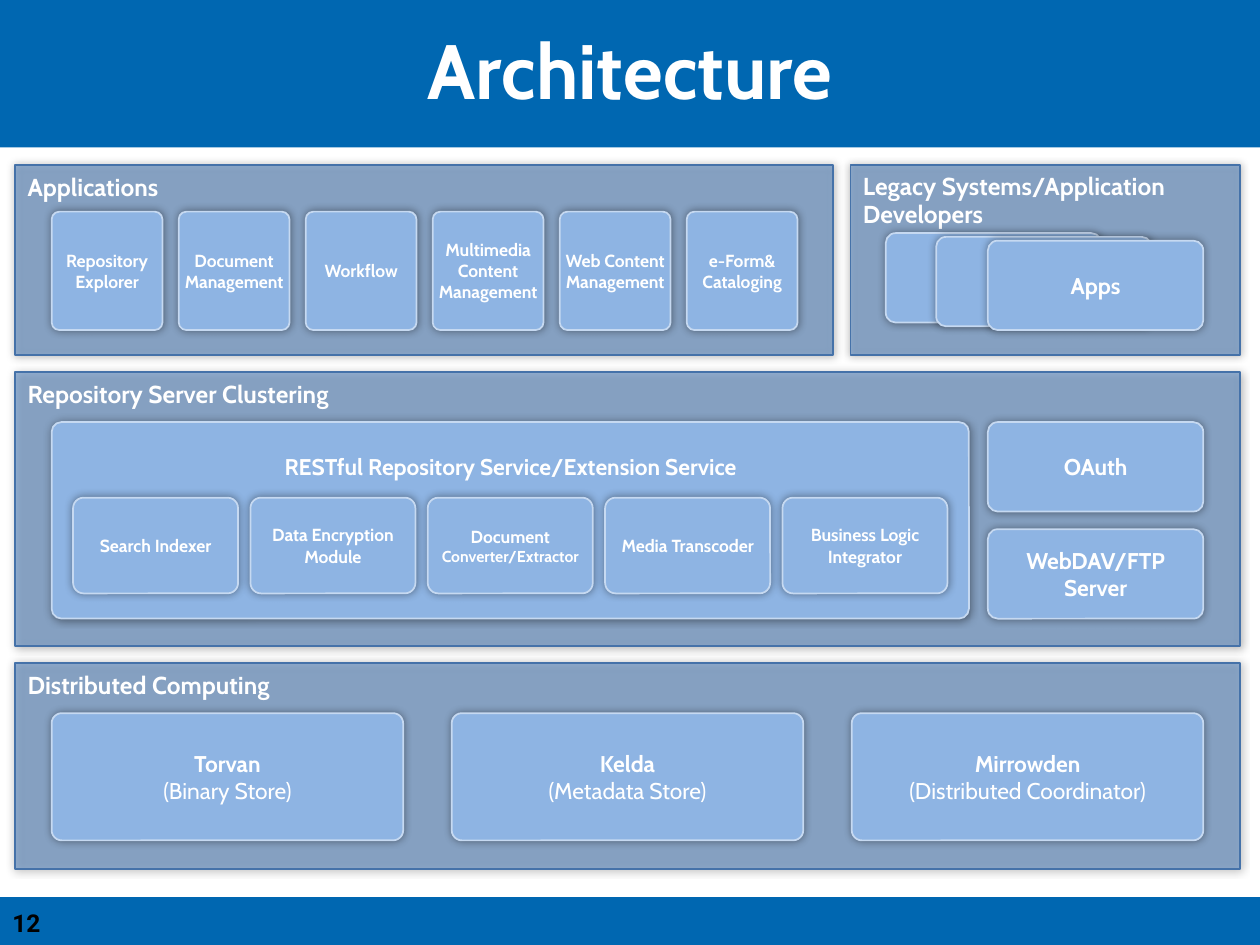
from dataclasses import dataclass

from lxml.etree import SubElement
from pptx import Presentation
from pptx.dml.color import RGBColor
from pptx.enum.shapes import MSO_SHAPE
from pptx.enum.text import MSO_ANCHOR, PP_ALIGN
from pptx.oxml.ns import qn
from pptx.util import Emu, Pt


@dataclass(frozen=True)
class Theme:
    """Colours, fonts and type sizes of the slide."""

    band: str = "0067B1"
    panel: str = "4F81BD"
    panel_line: str = "4572A9"
    card: str = "8EB4E3"
    card_line: str = "C6D9F1"
    light: str = "FFFFFF"
    dark: str = "000000"
    font: str = "Cabin"
    number_font: str = "Roboto"
    title: int = 44
    heading: int = 14
    body: int = 13
    small: int = 10
    tiny: int = 9


T = Theme()
PX = 9144


def px(n):
    """Turn px into EMU."""
    return Emu(round(n * PX))


def rgb(color):
    """Turn a hex string into a colour."""
    return RGBColor.from_string(color)


def write(sp, lines, size, color=T.light, font=T.font, align=PP_ALIGN.CENTER,
          anchor=MSO_ANCHOR.MIDDLE, inset=(0, 0)):
    """Write lines as paragraphs; a line is text or (text, size, bold)."""
    tf = sp.text_frame
    tf.word_wrap = True
    tf.vertical_anchor = anchor
    tf.margin_left = tf.margin_right = px(inset[0])
    tf.margin_top, tf.margin_bottom = px(inset[1]), 0
    for i, line in enumerate(lines):
        text, pt, bold = (line, size, True) if isinstance(line, str) else line
        p = tf.paragraphs[0] if i == 0 else tf.add_paragraph()
        p.text = text
        p.alignment = align
        p.font.name, p.font.size, p.font.bold = font, Pt(pt), bold
        p.font.color.rgb = rgb(color)
    return tf


def text_box(s, x, y, w, h, lines, size, **style):
    """Add a text box."""
    return write(s.shapes.add_textbox(px(x), px(y), px(w), px(h)), lines, size, **style)


def block(s, kind, x, y, w, h, fill, line=None):
    """Add a filled shape; an outlined one also has a soft shadow."""
    sp = s.shapes.add_shape(kind, px(x), px(y), px(w), px(h))
    sp.fill.solid()
    sp.fill.fore_color.rgb = rgb(fill)
    sp.shadow.inherit = False
    if line is None:
        sp.line.fill.background()
        return sp
    sp.line.color.rgb = rgb(line)
    sp.line.width = Pt(1)
    effects = sp._element.spPr.find(qn("a:effectLst"))
    shadow = SubElement(effects, qn("a:outerShdw"), blurRad=str(Pt(5)), dist="0",
                        dir="0", algn="ctr", rotWithShape="0")
    color = SubElement(shadow, qn("a:srgbClr"), val=T.dark)
    SubElement(color, qn("a:alpha"), val="40000")
    return sp


def card(s, x, y, w, h, lines=(), size=T.body, radius=8, **style):
    """Add a rounded card with centred text."""
    sp = block(s, MSO_SHAPE.ROUNDED_RECTANGLE, x, y, w, h, T.card, T.card_line)
    sp.adjustments[0] = round(radius / min(w, h), 2)
    write(sp, lines, size, **style)


def card_row(s, x, y, w, h, card_w, items, **style):
    """Spread cards evenly over a box."""
    pitch = (w - card_w) / (len(items) - 1)
    for i, lines in enumerate(items):
        card(s, x + i * pitch, y, card_w, h, lines, **style)


def panel(s, x, y, w, h, heading):
    """Add a translucent panel and its heading."""
    sp = block(s, MSO_SHAPE.RECTANGLE, x, y, w, h, T.panel, T.panel_line)
    color = sp._element.spPr.find(qn("a:solidFill"))[0]
    SubElement(color, qn("a:alpha"), val="55000")
    return text_box(s, x, y + 1, w, 34, [heading], T.heading, align=PP_ALIGN.LEFT,
                    anchor=MSO_ANCHOR.TOP, inset=(10, 5))


def frame(s, w, h):
    """Add the title band and the footer band."""
    block(s, MSO_SHAPE.RECTANGLE, 0, h - 38, w, 38, T.band)
    text_box(s, 0, h - 30, 71, 24, ["12"], T.heading, color=T.dark,
             font=T.number_font, align=PP_ALIGN.LEFT, inset=(10, 0))
    block(s, MSO_SHAPE.RECTANGLE, 0, 0, w, 117, T.band)
    text_box(s, 50, -8, w - 100, 125, ["Architecture"], T.title)


def applications(s, x, y, w, h):
    """Add the applications panel."""
    panel(s, x, y, w, h, "Applications")
    items = [
        ["Repository", "Explorer"],
        ["Document\nManagement"],
        ["Workflow"],
        ["Multimedia\nContent\nManagement"],
        ["Web Content\nManagement"],
        ["e-Form&\nCataloging"],
    ]
    card_row(s, x + 29, y + 37, w - 57, 94, 88, items, size=T.small, radius=6)


def legacy(s, x, y, w, h):
    """Add the legacy systems panel with stacked cards."""
    tf = panel(s, x, y, w, h, "Legacy Systems/Application\nDevelopers")
    tf.paragraphs[0].line_spacing = Pt(16)
    for i, lines in enumerate(([], [], ["Apps"])):
        card(s, x + 28 + round(40.5 * i), y + 54 + 3 * i, 171, 71, lines)


def clustering(s, x, y, w, h):
    """Add the repository server panel."""
    panel(s, x, y, w, h, "Repository Server Clustering")
    card(s, x + 29, y + 40, 728, 156, ["RESTful Repository Service/Extension Service"],
         anchor=MSO_ANCHOR.TOP, inset=(0, 22))
    modules = [
        ["Search Indexer"],
        ["Data Encryption\nModule"],
        ["Document", ("Converter/Extractor", T.tiny, True)],
        ["Media Transcoder"],
        ["Business Logic", "Integrator"],
    ]
    card_row(s, x + 46, y + 100, 694, 76, 131, modules, size=T.small)
    for i, name in enumerate(("OAuth", "WebDAV/FTP\nServer")):
        card(s, x + w - 200, y + 40 + 85 * i, 171, 71, [name])


def computing(s, x, y, w, h):
    """Add the distributed computing panel."""
    panel(s, x, y, w, h, "Distributed Computing")
    stores = [("Torvan", "(Binary Store)"), ("Kelda", "(Metadata Store)"),
              ("Mirrowden", "(Distributed Coordinator)")]
    items = [[name, (role, T.body, False)] for name, role in stores]
    card_row(s, x + 29, y + 40, w - 58, 101, 279, items)


def main():
    """Build and save the slide."""
    prs = Presentation()
    prs.slide_width, prs.slide_height = px(1000), px(750)
    s = prs.slides.add_slide(prs.slide_layouts[6])
    frame(s, 1000, 750)
    applications(s, 12, 131, 649, 151)
    legacy(s, 675, 131, 309, 151)
    clustering(s, 12, 295, 972, 218)
    computing(s, 12, 526, 972, 164)
    prs.save("out.pptx")


if __name__ == "__main__":
    main()
